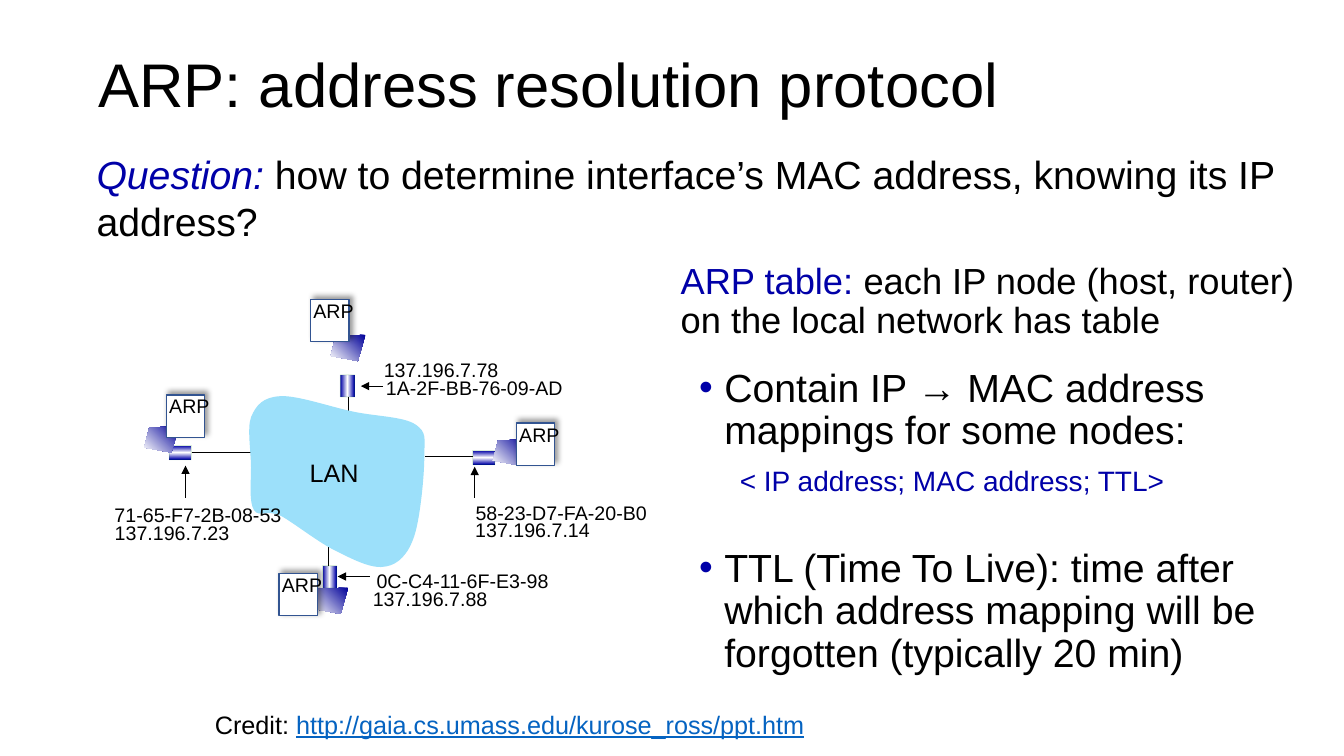
from dataclasses import dataclass

from lxml import etree
from pptx import Presentation
from pptx.dml.color import RGBColor
from pptx.enum.shapes import MSO_CONNECTOR, MSO_SHAPE
from pptx.enum.text import MSO_ANCHOR, PP_ALIGN
from pptx.oxml import parse_xml
from pptx.oxml.ns import nsdecls, qn
from pptx.util import Pt

RECT = MSO_SHAPE.RECTANGLE
STRAIGHT = MSO_CONNECTOR.STRAIGHT
MIDDLE = MSO_ANCHOR.MIDDLE
CENTER = PP_ALIGN.CENTER

BLACK = RGBColor(0x00, 0x00, 0x00)
WHITE = RGBColor(0xFF, 0xFF, 0xFF)
BLUE = RGBColor(0x00, 0x00, 0xA8)
NAVY = RGBColor(0x00, 0x00, 0x99)
GREEN = RGBColor(0x00, 0x80, 0x00)
LINK_BLUE = RGBColor(0x05, 0x63, 0xC1)
CLOUD = RGBColor(0x9C, 0xE0, 0xFA)
CARD_EDGE = RGBColor(0x32, 0x54, 0x91)

Point = tuple[float, float]
Run = tuple[str, RGBColor, dict]


@dataclass
class Para:
    runs: list[Run]
    size: float
    format: dict
    margin: float = 0
    bullet: bool = False


@dataclass
class Host:
    adapter: Point
    turn: int
    monitor: Point
    card: Point
    link: tuple[Point, Point]
    arrow: tuple[Point, Point]
    mac: str
    mac_at: Point
    ip: str
    ip_at: Point


HOSTS = [
    Host((243.2, 267.8), 0, (236.2, 239.2), (221.8, 213.8),
         ((249.1, 267.8), (249.1, 307.4)), ((273.6, 275.8), (257.8, 275.8)),
         "1A-2F-BB-76-09-AD", (268.6, 265), "137.196.7.78", (267.1, 252)),
    Host((123.8, 315.4), 90, (103, 304.6), (118.8, 282.2),
         ((136.8, 323.3), (193.7, 323.3)), ((132.5, 355.7), (132.5, 332.6)),
         "71-65-F7-2B-08-53", (74.7, 355.7), "137.196.7.23", (74.9, 368.6)),
    Host((230.4, 404.1), 0, (223.9, 419.8), (199.2, 409.7),
         ((234.7, 411.8), (234.7, 385.9)), ((264.2, 411.8), (241.2, 411.8)),
         "0C-C4-11-6F-E3-98", (261.9, 402.5), "137.196.7.88", (259.2, 415.4)),
    Host((340.4, 319), 90, (352.1, 313.9), (368.8, 302.2),
         ((353.5, 326.2), (303.8, 326.2)), ((339.1, 355.7), (339.1, 333.4)),
         "58-23-D7-FA-20-B0", (332.6, 354.2), "137.196.7.14", (332.4, 366.5)),
]
MONITOR = [(24.8, 0), (3.6, 0.7), (0, 15.1), (19.4, 18.7)]
LAN_START = (200.2, 283)
LAN_CURVES = [
    ((187.9, 283.7), (182.9, 289.4), (179.3, 298.1)),
    ((176.4, 306), (179.3, 322.6), (179.3, 334.1)),
    ((179.3, 344.9), (177.8, 358.6), (181.4, 364.3)),
    ((185, 370.1), (190.8, 363.6), (200.9, 368.6)),
    ((210.2, 373.7), (228.2, 388.1), (240.5, 393.8)),
    ((253.4, 400.3), (266.4, 406.8), (275.8, 404.6)),
    ((284.4, 403.2), (291.6, 396), (295.9, 383)),
    ((300.2, 370.1), (303.1, 339.8), (303.1, 326.2)),
    ((303.1, 313.2), (305.3, 308.9), (296.6, 303.1)),
    ((288, 297.4), (267.1, 297.4), (251.3, 293.8)),
    ((234.7, 290.2), (211.7, 282.2), LAN_START),
]


def add_text(s, x: float, y: float, w: float, h: float, paras: list[Para], anchor=None) -> None:
    tf = s.shapes.add_textbox(Pt(x), Pt(y), Pt(w), Pt(h)).text_frame
    tf.word_wrap = True
    if anchor is not None:
        tf.vertical_anchor = anchor
    for i, para in enumerate(paras):
        p = tf.paragraphs[0] if i == 0 else tf.add_paragraph()
        pPr = p._p.get_or_add_pPr()
        pPr.set("marL", str(Pt(para.margin)))
        if para.bullet:
            p.level = 1
            pPr.set("indent", str(Pt(-18)))
            color = etree.SubElement(pPr, qn("a:buClr"))
            etree.SubElement(color, qn("a:srgbClr"), val=str(BLUE))
            etree.SubElement(pPr, qn("a:buFont"), typeface="Arial")
            etree.SubElement(pPr, qn("a:buChar"), char="•")
        for name, value in para.format.items():
            setattr(p, name, value)
        for text, color, font_format in para.runs:
            r = p.add_run()
            r.text = text
            r.font.color.rgb = color
            for name, value in {"name": "Arial", "size": Pt(para.size), **font_format}.items():
                setattr(r.font, name, value)


def add_label(s, at: Point, w: float, text: str) -> None:
    add_text(s, *at, w, 24.5, [Para([(text, BLACK, {})], 14, {})])


def add_line(s, ends: tuple[Point, Point], arrow: bool = False) -> None:
    (x1, y1), (x2, y2) = ends
    line = s.shapes.add_connector(STRAIGHT, Pt(x1), Pt(y1), Pt(x2), Pt(y2))
    line.line.color.rgb = BLACK
    line.line.width = Pt(0.75)
    if arrow:
        etree.SubElement(line.line._get_or_add_ln(), qn("a:tailEnd"), type="triangle")
    etree.SubElement(line._element.spPr, qn("a:effectLst"))


def add_outline(s, points: list[Point]):
    start, *rest = [(Pt(x), Pt(y)) for x, y in points]
    builder = s.shapes.build_freeform(*start)
    builder.add_line_segments(rest)
    sp = builder.convert_to_shape()
    sp.shadow.inherit = False
    sp.line.fill.background()
    return sp


def add_lan(s) -> None:
    """Draw the LAN cloud, bending each side of its outline into a cubic curve."""
    lan = add_outline(s, [LAN_START] + [curve[-1] for curve in LAN_CURVES[:-1]])
    lan.fill.solid()
    lan.fill.fore_color.rgb = CLOUD
    outline = lan._element.spPr.find(".//" + qn("a:path"))
    for side in outline.findall(qn("a:lnTo")) + outline.findall(qn("a:close")):
        outline.remove(side)
    for curve in LAN_CURVES:
        bend = etree.SubElement(outline, qn("a:cubicBezTo"))
        for x, y in curve:
            etree.SubElement(bend, qn("a:pt"), x=str(Pt(x) - lan.left), y=str(Pt(y) - lan.top))
    etree.SubElement(outline, qn("a:close"))


def set_gradient(sp, stops: list[tuple[int, RGBColor]], angle: int) -> None:
    """Fill with (percent, colour) stops, angle clockwise in degrees."""
    marks = "".join(f'<a:gs pos="{pos * 1000}"><a:srgbClr val="{color}"/></a:gs>'
                    for pos, color in stops)
    sp.fill.background()
    no_fill = sp._element.spPr.find(qn("a:noFill"))
    no_fill.getparent().replace(no_fill, parse_xml(
        f'<a:gradFill {nsdecls("a")} rotWithShape="1"><a:gsLst>{marks}</a:gsLst>'
        f'<a:lin ang="{angle * 60000}" scaled="0"/></a:gradFill>'))


def add_host(s, host: Host) -> None:
    add_line(s, host.arrow, arrow=True)
    add_label(s, host.mac_at, 142, host.mac)
    add_label(s, host.ip_at, 96.5, host.ip)
    x, y = host.adapter
    adapter = s.shapes.add_shape(RECT, Pt(x), Pt(y), Pt(10), Pt(15.8))
    adapter.rotation = host.turn
    adapter.shadow.inherit = False
    adapter.line.color.rgb = GREEN
    adapter.line.width = Pt(0.75)
    edge = adapter.line._get_or_add_ln().find(".//" + qn("a:srgbClr"))
    etree.SubElement(edge, qn("a:alpha"), val="15000")
    set_gradient(adapter, [(0, BLUE), (50, WHITE), (99, BLUE)], 0)
    x, y = host.monitor
    monitor = add_outline(s, [(x + dx, y + dy) for dx, dy in MONITOR])
    set_gradient(monitor, [(0, NAVY), (100, WHITE)], 135)
    x, y = host.card
    card = s.shapes.add_shape(RECT, Pt(x), Pt(y), Pt(27.4), Pt(30.2))
    card.fill.solid()
    card.fill.fore_color.rgb = WHITE
    card.line.color.rgb = CARD_EDGE
    card.line.width = Pt(1)
    card._element.spPr.append(parse_xml(
        f'<a:effectLst {nsdecls("a")}><a:outerShdw blurRad="{Pt(4)}" dist="{Pt(3)}" '
        f'dir="{315 * 60000}" algn="bl" rotWithShape="0"><a:srgbClr val="{BLACK}">'
        '<a:alpha val="40000"/></a:srgbClr></a:outerShdw></a:effectLst>'))
    add_label(s, (x - 5, y - 4), 44, "ARP")


def main() -> None:
    prs = Presentation()
    prs.slide_width, prs.slide_height = Pt(960), Pt(540)
    s = prs.slides.add_slide(prs.slide_layouts[6])
    tight = {"line_spacing": 0.9}
    add_text(s, 63.1, 27.4, 828, 70.6,
             [Para([("ARP: address resolution protocol", BLACK, {})], 44, tight)], MIDDLE)
    add_text(s, 479.1, 184.3, 455.8, 74.9, [Para([
        ("ARP table: ", BLUE, {}),
        ("each IP node (host, router) on the local network has table", BLACK, {})], 25.9, tight)])
    add_text(s, 61.9, 103.7, 869, 74.9, [Para([
        ("Question: ", BLUE, {"italic": True}),
        ("how to determine interface’s MAC address, knowing its IP address?", BLACK, {})], 28, {})])
    for host in HOSTS:
        add_line(s, host.link)
    add_lan(s)
    add_text(s, 170.2, 323.3, 136.8, 28.8,
             [Para([("LAN", BLACK, {})], 18, {"alignment": CENTER})])
    for host in HOSTS:
        add_host(s, host)
    add_text(s, 455.6, 259.6, 486.7, 252.7, [
        Para([("Contain IP → MAC address mappings for some nodes:", BLACK, {})],
             28, tight, 54.7, True),
        Para([("< IP address; MAC address; TTL>", BLUE, {})],
             20, {**tight, "space_before": Pt(10)}, 65.8),
        Para([("TTL (Time To Live): time after which address mapping will be forgotten "
               "(typically 20 min)", BLACK, {})],
             28, {**tight, "space_before": Pt(36.5)}, 54.7, True)])
    add_text(s, 146.4, 502.9, 537, 28.8, [Para([
        ("Credit: ", BLACK, {}),
        ("http://gaia.cs.umass.edu/kurose_ross/ppt.htm", LINK_BLUE, {"underline": True})], 18, {})])
    prs.save("out.pptx")


if __name__ == "__main__":
    main()
